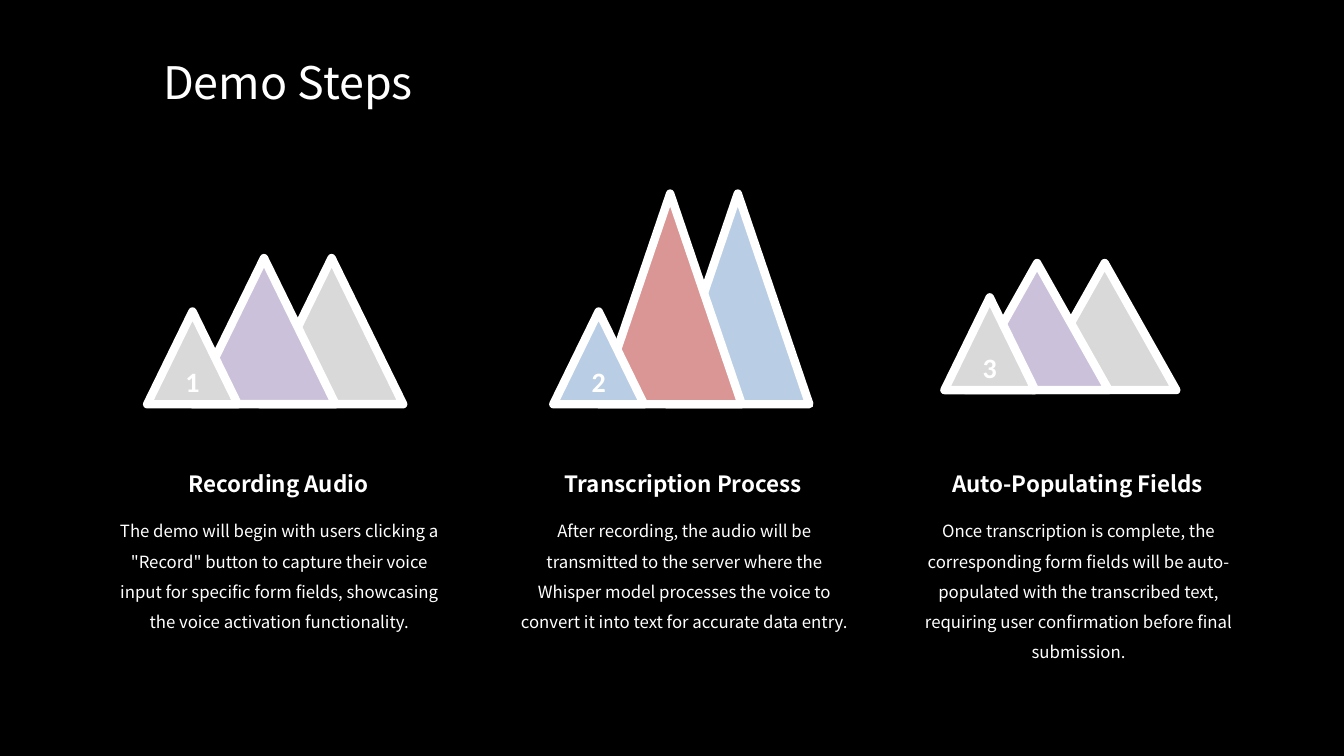
import lxml.etree
import pptx
import pptx.dml.color
import pptx.enum.shapes
import pptx.enum.text
import pptx.oxml.ns
import pptx.util

ALIGN = pptx.enum.text.PP_ALIGN
ANCHOR = pptx.enum.text.MSO_ANCHOR
AUTO_SIZE = pptx.enum.text.MSO_AUTO_SIZE
TEXT_FONT = "Noto Sans CJK SC"
WHITE, GREY, PURPLE, RED, BLUE = "FFFFFF", "D9D9D9", "CCC1DA", "D99694", "B9CDE5"

presentation = pptx.Presentation()
presentation.slide_width = pptx.util.Inches(13.33)
presentation.slide_height = pptx.util.Inches(7.5)
column = presentation.slide_width / 100
row = presentation.slide_height / 100
slide = presentation.slides.add_slide(presentation.slide_layouts[6])


def paint(fill, colour):
    fill.solid()
    fill.fore_color.rgb = pptx.dml.color.RGBColor.from_string(colour)


def write(shape, text, frame_format, paragraph_format, font_format):
    frame = shape.text_frame
    paragraph = frame.paragraphs[0]
    run = paragraph.add_run()
    run.text = text
    paint(run.font.fill, WHITE)
    for target, values in (
        (frame, frame_format),
        (paragraph, paragraph_format),
        (run.font, font_format),
    ):
        for name, value in values.items():
            setattr(target, name, value)


paint(slide.background.fill, "000000")

steps = [
    {
        "heading": "Recording Audio",
        "body": 'The demo will begin with users clicking a "Record" button to capture '
                "their voice input for specific form fields, showcasing the voice "
                "activation functionality.",
        "text_left": 7.28, "peak_left": 10.95, "base": 53.47, "tall": 19.33,
        "offsets": (8.4, 3.37), "colours": (GREY, PURPLE, GREY),
    },
    {
        "heading": "Transcription Process",
        "body": "After recording, the audio will be transmitted to the server where the "
                "Whisper model processes the voice to convert it into text for accurate "
                "data entry.",
        "text_left": 37.42, "peak_left": 41.17, "base": 53.47, "tall": 27.87,
        "offsets": (8.4, 3.37), "colours": (BLUE, RED, BLUE),
    },
    {
        "heading": "Auto-Populating Fields",
        "body": "Once transcription is complete, the corresponding form fields will be "
                "auto-populated with the transcribed text, requiring user confirmation "
                "before final submission.",
        "text_left": 66.75, "peak_left": 70.27, "base": 51.6, "tall": 16.8,
        "offsets": (6.6, 1.57), "colours": (GREY, PURPLE, GREY),
    },
]

text_boxes = [("Demo Steps", 11.4, 6.53, 58.43, 8.53, 32, False, ANCHOR.TOP, ALIGN.LEFT, 1)]

for number, step in enumerate(steps, 1):
    sizes = ((10.65, step["tall"]), (10.65, step["tall"]), (6.75, 12.27))
    for offset, (width, height), colour in zip((*step["offsets"], 0), sizes, step["colours"]):
        peak = slide.shapes.add_shape(
            pptx.enum.shapes.MSO_SHAPE.ISOSCELES_TRIANGLE,
            round((step["peak_left"] + offset) * column),
            round((step["base"] - height) * row),
            round(width * column),
            round(height * row),
        )
        peak.shadow.inherit = False
        paint(peak.fill, colour)
        paint(peak.line.fill, WHITE)
        peak.line.width = pptx.util.Pt(6)
        lxml.etree.SubElement(peak.line.fill._xPr, pptx.oxml.ns.qn("a:round"))
    write(
        peak,
        str(number),
        {"vertical_anchor": ANCHOR.MIDDLE},
        {"alignment": ALIGN.CENTER},
        {"name": "Calibri", "size": pptx.util.Pt(20), "bold": True},
    )
    left = step["text_left"]
    text_boxes += [
        (step["heading"], left, 61.47, 26.85, 4.93, 16, True, ANCHOR.BOTTOM, ALIGN.CENTER, 1),
        (step["body"], left + 0.08, 66.93, 26.85, 21.07, 12, False, ANCHOR.TOP, ALIGN.CENTER, 1.5),
    ]

for text, left, top, width, height, size, bold, anchor, alignment, spacing in text_boxes:
    write(
        slide.shapes.add_textbox(
            round(left * column), round(top * row), round(width * column), round(height * row)
        ),
        text,
        {"word_wrap": True, "auto_size": AUTO_SIZE.SHAPE_TO_FIT_TEXT, "vertical_anchor": anchor},
        {"alignment": alignment, "line_spacing": spacing},
        {"name": TEXT_FONT, "size": pptx.util.Pt(size), "bold": bold},
    )

presentation.save("out.pptx")
